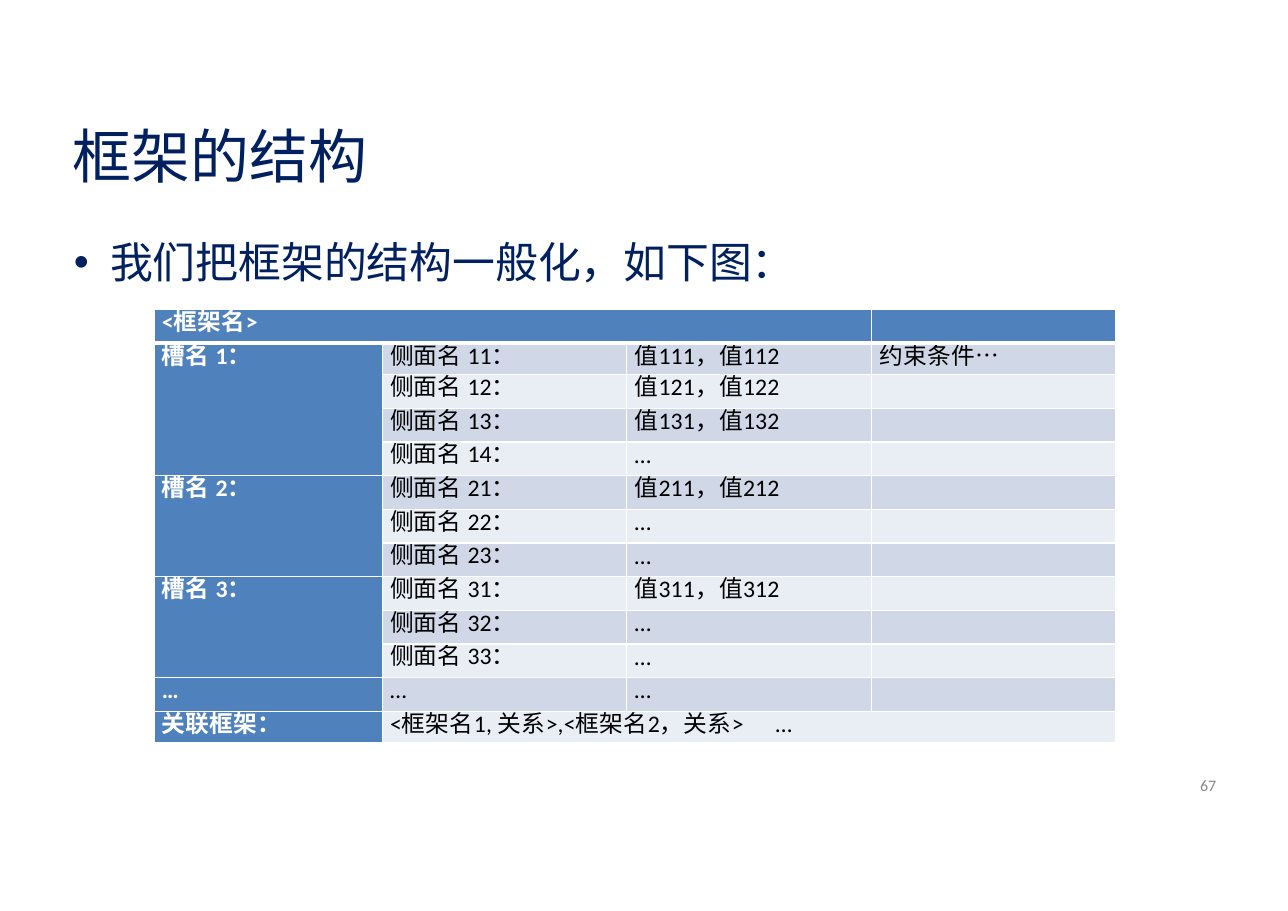
"""Slide on the general structure of a frame: title, lead sentence and slot table."""
from itertools import groupby

from lxml import etree
from pptx import Presentation
from pptx import util as u
from pptx.dml.color import RGBColor
from pptx.enum import text
from pptx.oxml.ns import qn

TITLE = "框架的结构"
LEAD = "我们把框架的结构一般化，如下图："
PAGE = "67"
HEADER = "<框架名>"
SLOTS = [
    ("槽名 1：", [("侧面名 11：", "值111，值112", "约束条件…"),
                ("侧面名 12：", "值121，值122", ""),
                ("侧面名 13：", "值131，值132", ""),
                ("侧面名 14：", "…", "")]),
    ("槽名 2：", [("侧面名 21：", "值211，值212", ""),
                ("侧面名 22：", "…", ""),
                ("侧面名 23：", "…", "")]),
    ("槽名 3：", [("侧面名 31：", "值311，值312", ""),
                ("侧面名 32：", "…", ""),
                ("侧面名 33：", "…", "")]),
    ("…", [("…", "…", "")]),
    ("关联框架：", [("<框架名1, 关系>,<框架名2，关系>\t…", "", "")]),
]
COLORS = {"navy": "002060", "gray": "898989", "white": "FFFFFF", "black": "000000",
          "head": "4F81BD", "odd": "D0D8E8", "even": "E9EDF4"}
LATIN, CJK = "Calibri", "Noto Sans CJK SC"
COLUMNS = [2.07, 2.22, 2.22, 2.22]
ROW_HEIGHT = 3.72 / 13


def is_latin(char):
    return char == "…" or (char.isascii() and char != " ")


def write(paragraph, content, size, color, bold=False, spacing=(0, 0)):
    for latin, chars in groupby(content, is_latin):
        run = paragraph.add_run()
        run.text = "".join(chars)
        look = {"name": LATIN if latin else CJK, "size": u.Pt(size), "bold": bold}
        for key, value in look.items():
            setattr(run.font, key, value)
        run.font.color.rgb = RGBColor.from_string(COLORS[color])
        props = run.font._element
        props.set("spc", str(spacing[0] if latin else spacing[1]))
        etree.SubElement(props, qn("a:ea")).set("typeface", CJK)


def prepare(frame, anchor):
    look = {"margin_left": 0, "margin_right": 0, "margin_top": u.Inches(0.01),
            "margin_bottom": 0, "word_wrap": True, "vertical_anchor": anchor,
            "auto_size": text.MSO_AUTO_SIZE.NONE}
    for key, value in look.items():
        setattr(frame, key, value)
    return frame.paragraphs[0]


def add_text(slide, left, top, width, height):
    box = slide.shapes.add_textbox(*map(u.Inches, (left, top, width, height)))
    return prepare(box.text_frame, text.MSO_ANCHOR.MIDDLE)


def add_border(cell, side, points):
    line = etree.SubElement(cell._tc.get_or_add_tcPr(), qn(f"a:ln{side}"), w=str(u.Pt(points)))
    fill = etree.SubElement(line, qn("a:solidFill"))
    etree.SubElement(fill, qn("a:srgbClr"), val=COLORS["white"])


def fill_cell(cell, content, row, column):
    for side in ("margin_left", "margin_right", "margin_top", "margin_bottom"):
        setattr(cell, side, 0)
    for side in "LRTB":
        under_header = (row, side) in ((0, "B"), (1, "T"))
        add_border(cell, side, 3 if under_header else 1)
    heading = row == 0 or column == 0
    shade = "head" if heading else "odd" if row % 2 else "even"
    cell.fill.solid()
    cell.fill.fore_color.rgb = RGBColor.from_string(COLORS[shade])
    paragraph = cell.text_frame.paragraphs[0]
    paragraph.line_spacing = u.Pt(18.1)
    paragraph._p.get_or_add_pPr().set("marL", str(u.Inches(0.07)))
    write(paragraph, content, 15.5, "white" if heading else "black", heading, (10, 20))


def add_slot_table(slide):
    rows = [(HEADER, "", "", "")]
    spans = [(0, 0, 0, 2)]
    for slot, facets in SLOTS:
        first = len(rows)
        rows += [(slot if i == 0 else "", *facet) for i, facet in enumerate(facets)]
        spans.append((first, 0, len(rows) - 1, 0))
    last = len(rows) - 1
    spans.append((last, 1, last, 3))

    table = slide.shapes.add_table(
        len(rows), len(COLUMNS), u.Inches(1.4), u.Inches(2.81),
        u.Inches(sum(COLUMNS)), u.Inches(ROW_HEIGHT * len(rows))).table
    for column, width in zip(table.columns, COLUMNS):
        column.width = u.Inches(width)
    for r, contents in enumerate(rows):
        table.rows[r].height = u.Inches(ROW_HEIGHT)
        for c, content in enumerate(contents):
            fill_cell(table.cell(r, c), content, r, c)
    for top, left, bottom, right in spans:
        if (top, left) != (bottom, right):
            table.cell(top, left).merge(table.cell(bottom, right))


def main():
    deck = Presentation()
    deck.slide_width, deck.slide_height = u.Inches(11.69), u.Inches(8.27)
    slide = deck.slides.add_slide(deck.slide_layouts[5])

    title = slide.shapes.title
    place = {"left": 0.66, "top": 1.07, "width": 2.71, "height": 0.67}
    for key, value in place.items():
        setattr(title, key, u.Inches(value))
    heading = prepare(title.text_frame, text.MSO_ANCHOR.MIDDLE)
    heading.alignment = text.PP_ALIGN.LEFT
    write(heading, TITLE, 38.5, "navy", spacing=(10, 10))

    lead = add_text(slide, 0.66, 2.12, 6.59, 0.5)
    props = lead._p.get_or_add_pPr()
    props.set("marL", str(u.Inches(0.34)))
    props.set("indent", str(u.Inches(-0.33)))
    etree.SubElement(props, qn("a:buFont"), typeface="Arial")
    etree.SubElement(props, qn("a:buChar"), char="•")
    write(lead, LEAD, 28, "navy")

    add_slot_table(slide)

    page = add_text(slide, 10.84, 7.04, 0.2, 0.17)
    page.alignment = text.PP_ALIGN.RIGHT
    write(page, PAGE, 10.5, "gray")
    deck.save("out.pptx")


if __name__ == "__main__":
    main()
